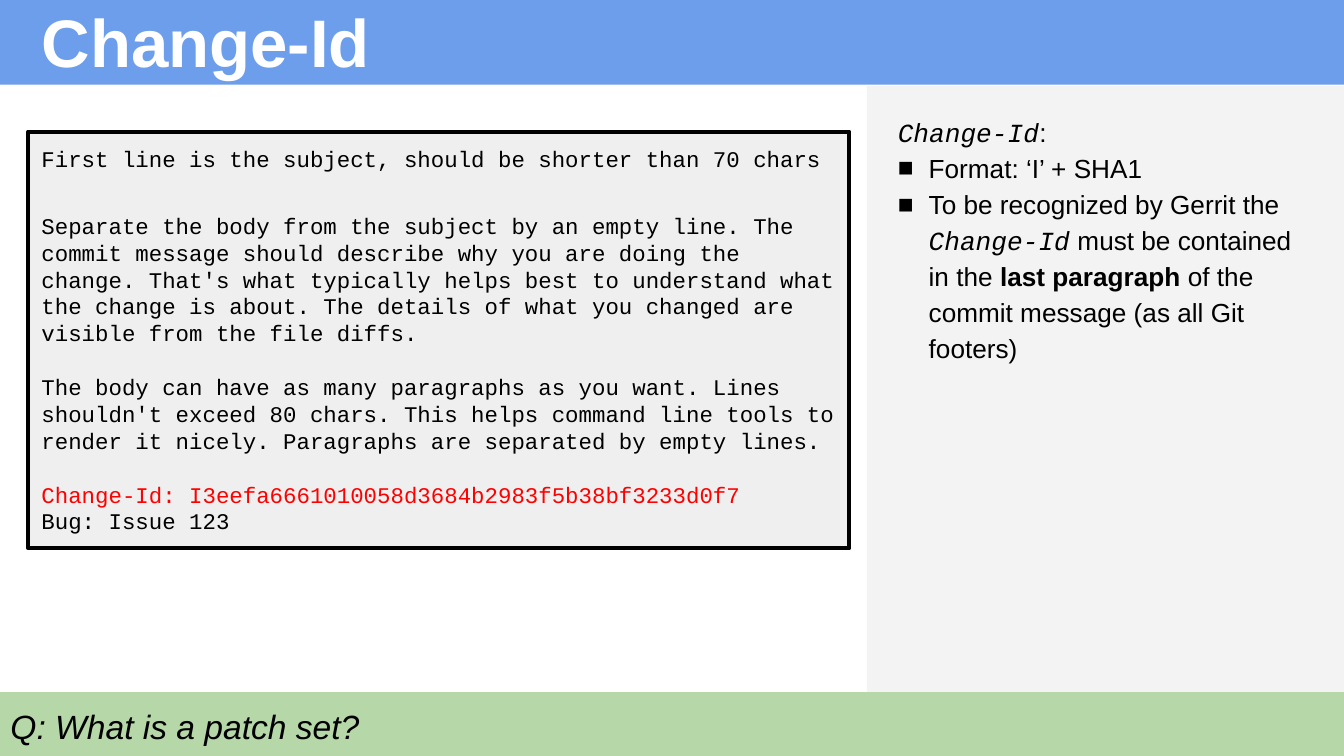
from lxml import etree
from pptx import Presentation
from pptx.dml.color import RGBColor
from pptx.enum.shapes import MSO_SHAPE
from pptx.enum.text import MSO_ANCHOR, MSO_AUTO_SIZE, PP_ALIGN
from pptx.oxml.ns import qn
from pptx.util import Inches, Pt

RECT = MSO_SHAPE.RECTANGLE
TOP = MSO_ANCHOR.TOP
FIXED = MSO_AUTO_SIZE.NONE
LEFT = PP_ALIGN.LEFT
SANS, MONO = "Arial", "Courier New"
WIDE = 10
HIGH = WIDE * 9 / 16


def color(code):
    return RGBColor.from_string(code)


def write(para, text, size=14, face=SANS, ink="000000", bold=False, italic=False):
    run = para.add_run()
    run.text = text
    font = run.font
    font.size, font.name = Pt(size), face
    font.bold, font.italic = bold, italic
    font.color.rgb = color(ink)


def mark(para, sign=None, indent=0):
    """Set the bullet sign and hanging indent; no sign means no bullet."""
    props = para._p.get_or_add_pPr()
    props.set("marL", str(Inches(indent)))
    props.set("indent", str(-Inches(indent)))
    if sign:
        etree.SubElement(props, qn("a:buChar")).set("char", sign)
    else:
        etree.SubElement(props, qn("a:buNone"))


class Deck:
    inset = Inches(0.1)

    def __init__(self, wide, high):
        self.prs = Presentation()
        self.prs.slide_width, self.prs.slide_height = Inches(wide), Inches(high)
        self.slide = self.prs.slides.add_slide(self.prs.slide_layouts[1])

    def rect(self, box, fill, line=None, weight=2.25):
        shape = self.slide.shapes.add_shape(RECT, *map(Inches, box))
        shape.shadow.inherit = False
        shape.fill.solid()
        shape.fill.fore_color.rgb = color(fill)
        if line:
            shape.line.color.rgb = color(line)
            shape.line.width = Pt(weight)
        else:
            shape.line.fill.background()
        return shape

    def fill(self, shape, paras, space=1.0, gaps=(), **style):
        """Write paragraphs, each a list of (text, format) runs."""
        frame = shape.text_frame
        frame.word_wrap, frame.auto_size = True, FIXED
        frame.vertical_anchor = TOP
        frame.margin_left = frame.margin_right = self.inset
        frame.margin_top = frame.margin_bottom = self.inset
        for i, runs in enumerate(paras):
            para = frame.paragraphs[0] if i == 0 else frame.add_paragraph()
            para.alignment, para.line_spacing = LEFT, space
            para.space_before = Pt(gaps[i] if gaps else 0)
            for text, form in runs:
                write(para, text, **{**style, **form})
        return frame.paragraphs

    def place(self, index, box):
        """Move a placeholder to its box, in front of the shapes so far."""
        holder = self.slide.placeholders[index]
        holder.left, holder.top, holder.width, holder.height = map(Inches, box)
        holder.element.getparent().append(holder.element)
        return holder

    def title(self, box, text, **style):
        self.fill(self.place(0, box), [[(text, {})]], **style)

    def list(self, box, paras, **style):
        """Fill the body: a lead line, then bullets."""
        lead, *items = self.fill(self.place(1, box), paras, **style)
        mark(lead)
        for item in items:
            mark(item, "■", 0.23)

    def text(self, box, text, **style):
        shape = self.slide.shapes.add_textbox(*map(Inches, box))
        self.fill(shape, [[(text, {})]], **style)


MESSAGE = [
    ("First line is the subject, should be shorter than 70 chars", 0, "000000"),
    ("Separate the body from the subject by an empty line. The commit message "
     "should describe why you are doing the change. That's what typically helps "
     "best to understand what the change is about. The details of what you "
     "changed are visible from the file diffs.", 21.4, "000000"),
    ("The body can have as many paragraphs as you want. Lines shouldn't exceed "
     "80 chars. This helps command line tools to render it nicely. Paragraphs "
     "are separated by empty lines.", 14.4, "000000"),
    ("Change-Id: I3eefa6661010058d3684b2983f5b38bf3233d0f7", 14.4, "FF0000"),
    ("Bug: Issue 123", 0, "000000"),
]
CODE = {"face": MONO, "italic": True}
NOTES = [
    [("Change-Id", CODE), (":", {})],
    [("Format: ‘I’ + SHA1", {})],
    [("To be recognized by Gerrit the ", {}), ("Change-Id", CODE),
     (" must be contained in the ", {}), ("last paragraph", {"bold": True}),
     (" of the commit message (as all Git footers)", {})],
]


def main():
    deck = Deck(WIDE, HIGH)
    commit = deck.rect((0.21, 0.98, 6.11, 3.1), "EFEFEF", line="000000")
    deck.fill(commit, [[(text, {"ink": ink})] for text, _, ink in MESSAGE],
              gaps=[gap for _, gap, _ in MESSAGE], size=12, face=MONO)
    deck.rect((0, 0, 10.01, 0.63), "6D9EEB")
    deck.title((0.21, -0.1, 7.14, 0.83), "Change-Id",
               size=36, ink="FFFFFF", bold=True)
    deck.rect((6.45, 0.64, 3.55, 4.99), "F3F3F3")
    deck.list((6.58, 0.73, 3.22, 3.55), NOTES, space=1.15)
    deck.rect((0, 5.15, WIDE, 0.48), "B6D7A8")
    deck.text((-0.02, 5.15, 9.8, 0.48), "Q: What is a patch set?",
              size=18, italic=True)
    deck.prs.save("out.pptx")


if __name__ == "__main__":
    main()
